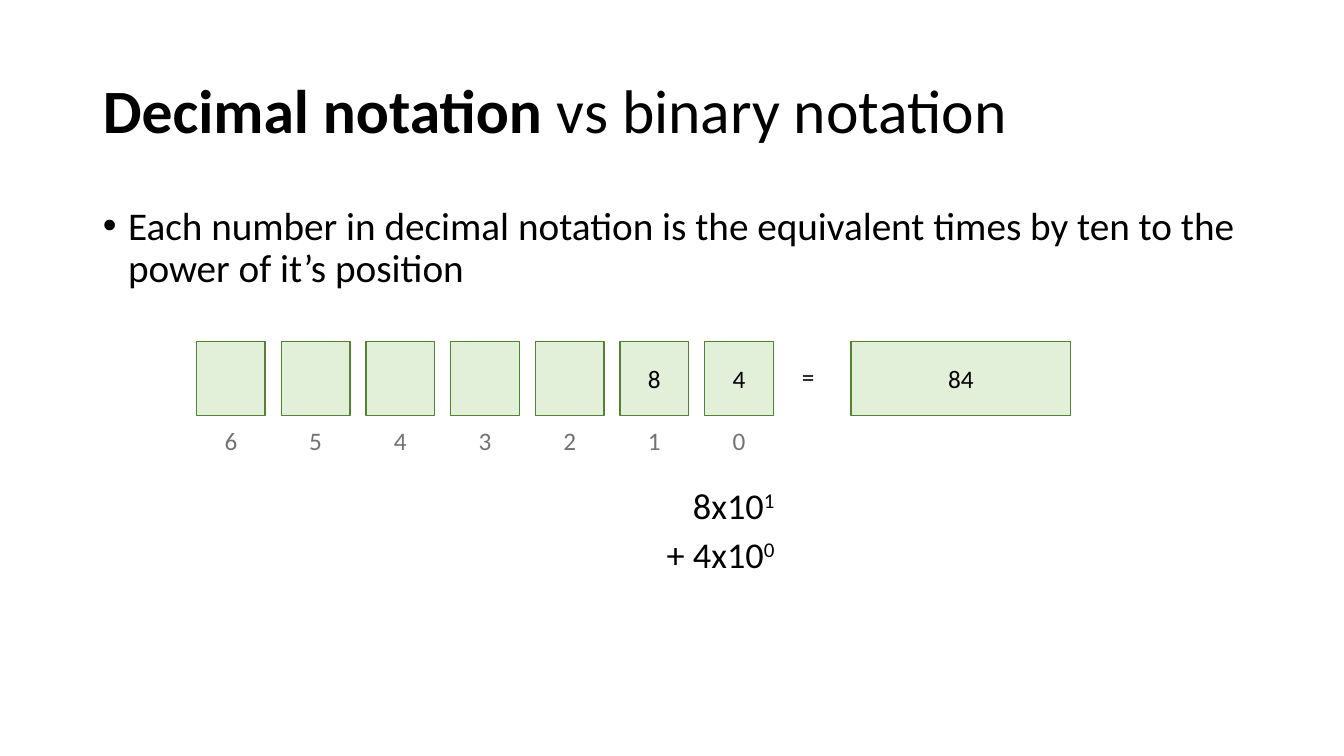
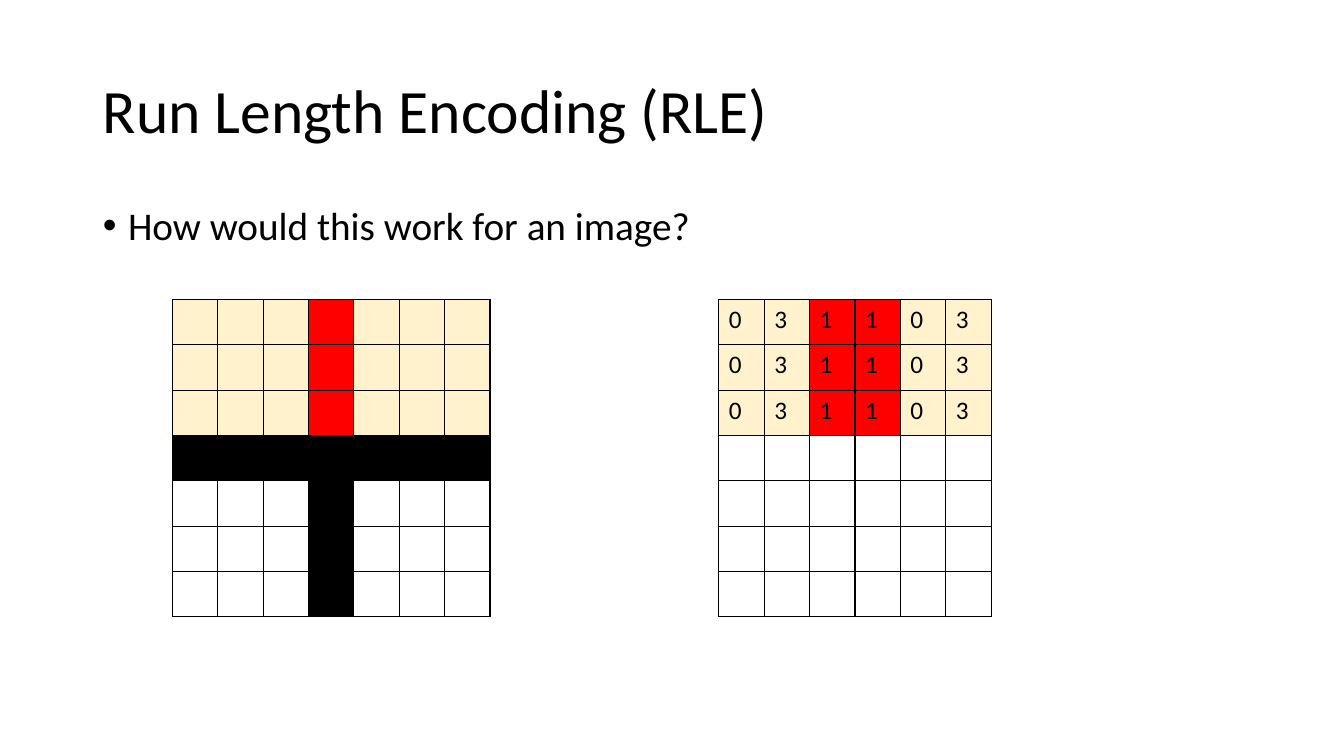
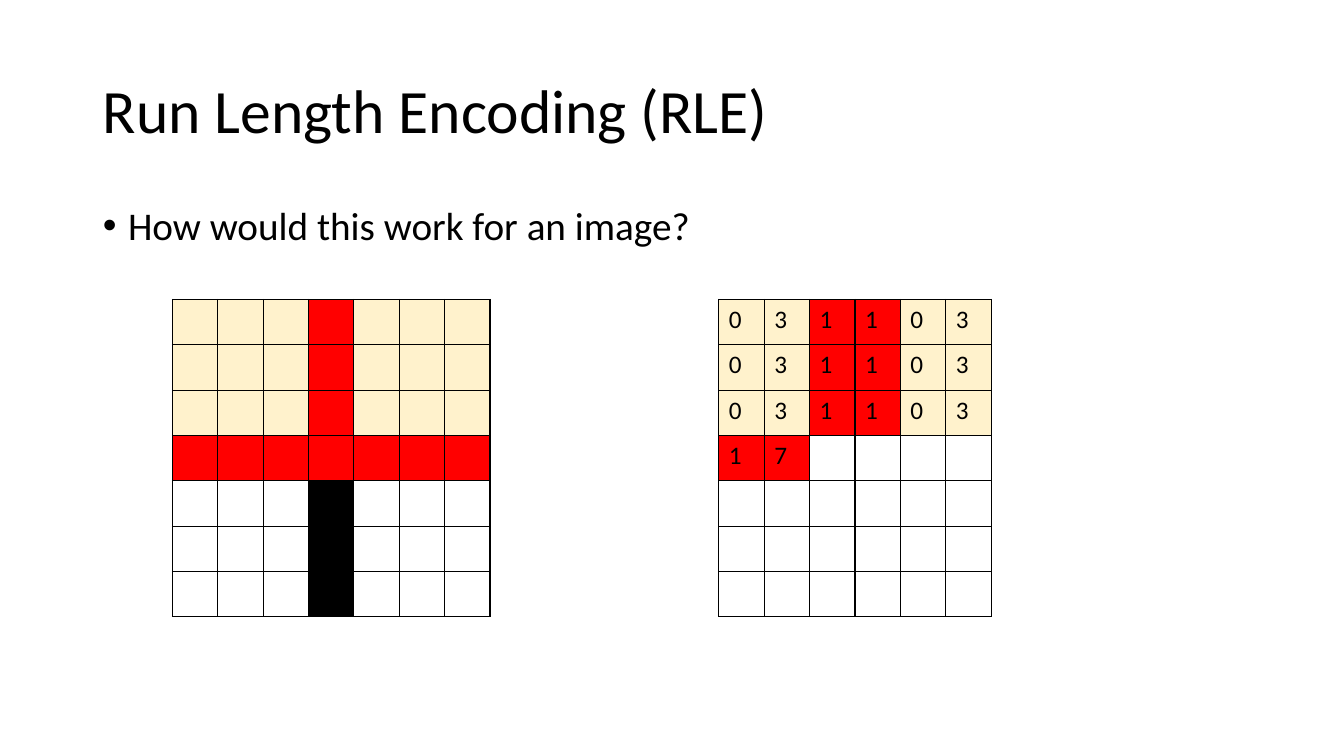
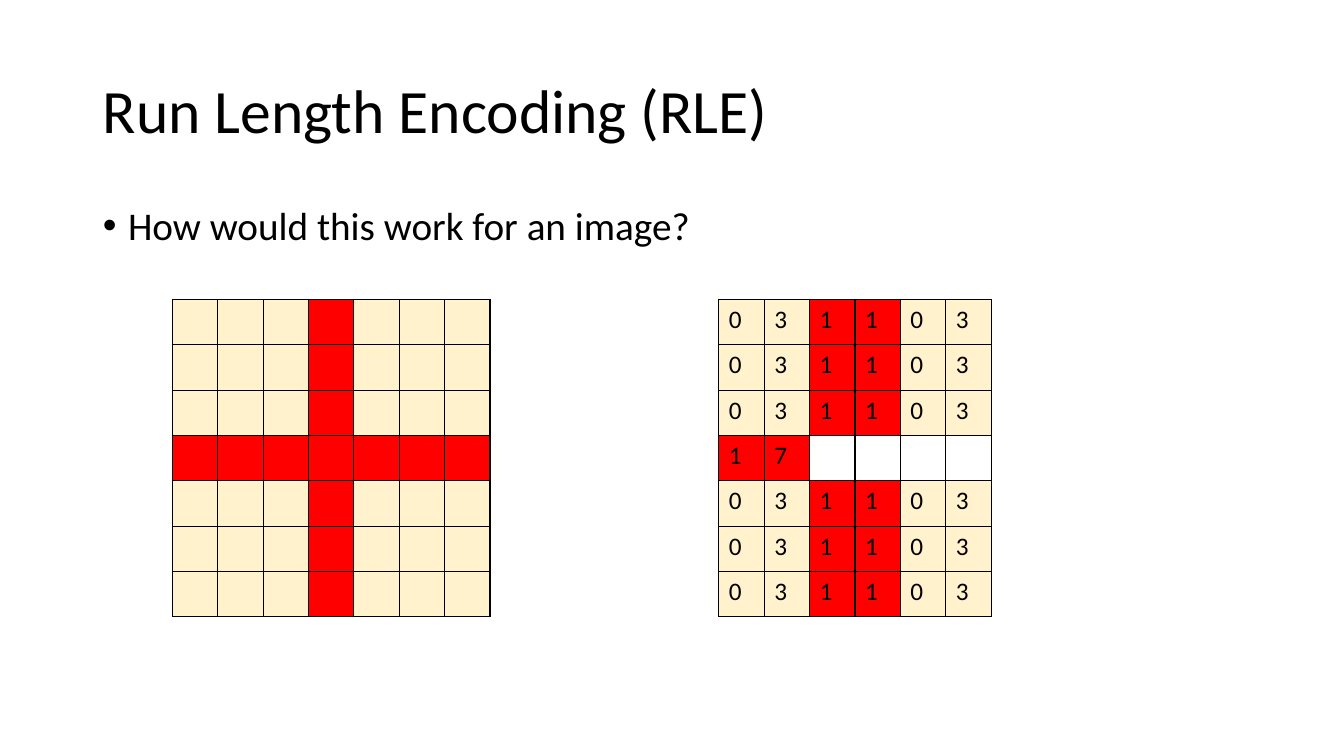
from itertools import groupby

from lxml.etree import SubElement as Sub
from pptx import Presentation
from pptx.dml.color import RGBColor
from pptx.enum.shapes import MSO_SHAPE as Shape
from pptx.enum.text import MSO_ANCHOR as Anchor, MSO_AUTO_SIZE as Auto, PP_ALIGN as Align
from pptx.oxml.ns import qn
from pptx.util import Emu, Pt

FONT = "Calibri"
BLACK, WHITE, RED, CREAM = "000000", "FFFFFF", "FF0000", "FFF2CC"
PALE, GREEN, GREY = "E2F0D9", "548235", "767171"
SHADES = {"0": CREAM, "1": RED, "K": BLACK, "W": WHITE}
CROSS, BAR, STEM = "0001000", "1111111", "WWWKWWW"
CELL = 45


def px(n):
    """Turn px, 100 to the inch, into EMU."""
    return Emu(n * 9144)


def hue(code):
    """Turn a hex string into a colour."""
    return RGBColor.from_string(code)


def write(para, text, size=18, color=BLACK, bold=False, base=0, align=None, line=None):
    """Add a formatted run to a paragraph."""
    run = para.add_run()
    run.text = text
    font = run.font
    font.name, font.size, font.bold = FONT, Pt(size), bold
    font.color.rgb = hue(color)
    if base:
        run._r.get_or_add_rPr().set("baseline", str(base * 1000))
    if align is not None:
        para.alignment = align
    if line:
        para.line_spacing = line


def place(item, box):
    """Move a shape to a box in px."""
    item.left, item.top, item.width, item.height = map(px, box)


def start(deck, title, point, box):
    """Add a slide with a title of (text, bold) runs and one bullet."""
    slide = deck.slides.add_slide(deck.slide_layouts[1])
    head, body = slide.placeholders
    place(head, (92, 40, 1150, 145))
    place(body, box)
    for item, anchor in ((head, Anchor.MIDDLE), (body, Anchor.TOP)):
        item.text_frame.auto_size = Auto.NONE
        item.text_frame.vertical_anchor = anchor
    for text, bold in title:
        write(head.text_frame.paragraphs[0], text, size=44, bold=bold, align=Align.LEFT, line=0.9)
    para = body.text_frame.paragraphs[0]
    props = para._p.get_or_add_pPr()
    props.set("marL", str(px(25)))
    props.set("indent", str(px(-25)))
    para.space_before = Pt(0)
    write(para, point, size=28, line=0.9)
    return slide


def label(slide, box, text, **form):
    """Add a text box with one centred line."""
    frame = slide.shapes.add_textbox(*map(px, box)).text_frame
    frame.word_wrap = True
    write(frame.paragraphs[0], text, align=Align.CENTER, **form)


def tile(slide, box, text):
    """Add a green box with an optional number."""
    rect = slide.shapes.add_shape(Shape.RECTANGLE, *map(px, box))
    rect.shadow.inherit = False
    rect.fill.solid()
    rect.fill.fore_color.rgb = hue(PALE)
    rect.line.color.rgb = hue(GREEN)
    rect.line.width = Pt(1)
    if text:
        rect.text_frame.vertical_anchor = Anchor.MIDDLE
        write(rect.text_frame.paragraphs[0], text, align=Align.CENTER)


def digits(slide, left, top, number, count):
    """Add place-value tiles, their powers and the resulting number."""
    wide, high, pitch = 68, 73, 84
    for i, mark in enumerate(number.rjust(count)):
        x = left + i * pitch
        tile(slide, (x, top, wide, high), mark.strip())
        label(slide, (x, top + 78, wide, 40), str(count - 1 - i), color=GREY)
    end = left + count * pitch
    label(slide, (end - 6, top + 15, 49, 40), "=")
    tile(slide, (end + 61, top, 218, high), number)


def sums(slide, box, terms):
    """Add right-aligned terms, each with its power raised."""
    frame = slide.shapes.add_textbox(*map(px, box)).text_frame
    frame.word_wrap = True
    for i, (term, power) in enumerate(terms):
        para = frame.add_paragraph() if i else frame.paragraphs[0]
        para.space_before = Pt(10 if i else 0)
        write(para, term, size=25.9, align=Align.RIGHT, line=0.8)
        write(para, power, size=25.9, base=30)


def edge(cell):
    """Draw thin black borders round a table cell."""
    props = cell._tc.get_or_add_tcPr()
    for side in ("lnL", "lnR", "lnT", "lnB"):
        line = Sub(props, qn("a:" + side), w=str(Pt(1)))
        Sub(Sub(line, qn("a:solidFill")), qn("a:srgbClr"), val=BLACK)


def grid(slide, left, top, rows):
    """Add a table of square cells from rows of (shade, text)."""
    cols = len(rows[0])
    box = (left, top, cols * CELL, len(rows) * CELL)
    table = slide.shapes.add_table(len(rows), cols, *map(px, box)).table
    table.first_row = table.horz_banding = False
    for r, row in enumerate(rows):
        for c, (shade, text) in enumerate(row):
            cell = table.cell(r, c)
            edge(cell)
            cell.fill.solid()
            cell.fill.fore_color.rgb = hue(SHADES[shade])
            if text:
                write(cell.text_frame.paragraphs[0], text)


def encode(row, cols=6):
    """Turn a finished row into colour and length cells, padded with white."""
    cells = []
    if set(row) <= set("01"):
        for bit, run in groupby(row):
            cells += [(bit, bit), (bit, str(len(list(run))))]
    return cells + [("W", "")] * (cols - len(cells))


def decimal(deck):
    """Add the decimal notation slide."""
    slide = start(
        deck, [("Decimal notation ", True), ("vs binary notation", False)],
        "Each number in decimal notation is the equivalent times by ten to the power of it’s position",
        (92, 200, 1150, 99))
    digits(slide, 195, 339, "84", 7)
    sums(slide, (600, 483, 178, 99), [("8x10", "1"), ("+ 4x10", "0")])


def lengths(deck, rows):
    """Add a run length slide: the image and its encoding."""
    slide = start(deck, [("Run Length Encoding (RLE)", False)],
                  "How would this work for an image?", (92, 200, 1093, 510))
    grid(slide, 171, 297, [[(bit, "") for bit in row] for row in rows])
    grid(slide, 713, 297, [encode(row) for row in rows])


def main():
    """Build and save the deck."""
    deck = Presentation()
    deck.slide_width, deck.slide_height = px(1333), px(750)
    decimal(deck)
    for mid, low in (("K" * 7, STEM), (BAR, STEM), (BAR, CROSS)):
        lengths(deck, [CROSS] * 3 + [mid] + [low] * 3)
    deck.save("out.pptx")


if __name__ == "__main__":
    main()
